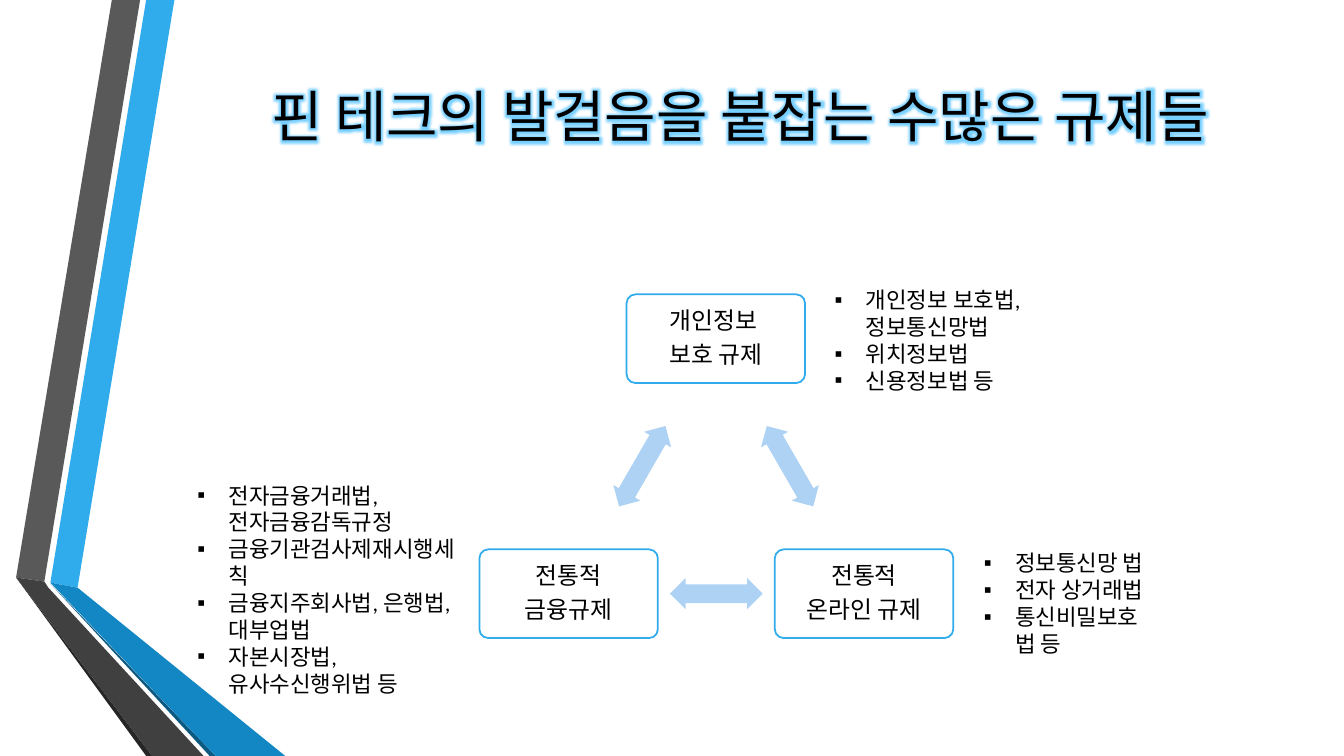
from dataclasses import dataclass

from lxml import etree
from pptx import Presentation
from pptx.dml.color import RGBColor
from pptx.enum.shapes import MSO_SHAPE
from pptx.enum.text import MSO_ANCHOR, MSO_AUTO_SIZE, PP_ALIGN
from pptx.oxml.ns import qn
from pptx.util import Inches, Pt

ROUNDED = MSO_SHAPE.ROUNDED_RECTANGLE
DOUBLE_ARROW = MSO_SHAPE.LEFT_RIGHT_ARROW
MIDDLE = MSO_ANCHOR.MIDDLE
GROW = MSO_AUTO_SIZE.SHAPE_TO_FIT_TEXT
NO_FIT = MSO_AUTO_SIZE.NONE
CENTER = PP_ALIGN.CENTER


@dataclass(frozen=True)
class Theme:
    font: str = "Calibri"
    text: str = "000000"
    box_fill: str = "FFFFFF"
    accent: str = "30ACEC"
    arrow: str = "AED2F4"
    glow: str = "1DB0FF"
    title_size: int = 40
    box_size: int = 17
    list_size: int = 16


@dataclass(frozen=True)
class Facet:
    color: str
    points: tuple[tuple[float, float], ...]


@dataclass(frozen=True)
class Regulation:
    center_x: float
    center_y: float
    lines: tuple[str, ...]


@dataclass(frozen=True)
class LawList:
    left: float
    top: float
    width: float
    height: float
    laws: tuple[str, ...]


THEME = Theme()
BOX_WIDTH, BOX_HEIGHT = 1.77, 0.88
ARROW_WIDTH, ARROW_HEIGHT = 0.92, 0.31
BULLET_INDENT = Inches(0.31)

FACETS = (
    Facet(THEME.accent, ((0.5, 5.78), (0.77, 5.83), (1.73, 0), (1.45, 0))),
    Facet("595959", ((1.39, 0), (1.11, 0), (0.16, 5.73), (0.44, 5.77))),
    Facet("262626", ((0.16, 5.73), (1.45, 7.5), (1.51, 7.5))),
    Facet("0C5A82", ((0.5, 5.79), (2.08, 7.5), (2.14, 7.5))),
    Facet("1287C3", ((0.5, 5.78), (2.14, 7.5), (2.83, 7.5), (0.77, 5.83))),
    Facet("404040", ((2.02, 7.5), (0.48, 5.83), (0.44, 5.77), (0.16, 5.73), (1.51, 7.5))),
)

# Clockwise from the top of the triangle
REGULATIONS = (
    Regulation(7.1, 3.36, ("개인정보 ", "보호 규제")),
    Regulation(8.57, 5.89, ("전통적", "온라인 규제")),
    Regulation(5.64, 5.89, ("전통적", "금융규제")),
)

LAW_LISTS = (
    LawList(8.18, 2.79, 3.14, 1.18,
            ("개인정보 보호법, 정보통신망법", "위치정보법", "신용정보법 등")),
    LawList(9.66, 5.4, 1.98, 1.48,
            ("정보통신망 법", "전자 상거래법", "통신비밀보호 법 등")),
    LawList(1.86, 4.73, 2.82, 2.26,
            ("전자금융거래법, 전자금융감독규정", "금융기관검사제재시행세칙",
             "금융지주회사법, 은행법, 대부업법", "자본시장법, 유사수신행위법 등")),
)


def fill_shape(shape, color: str) -> None:
    shape.shadow.inherit = False
    shape.fill.solid()
    shape.fill.fore_color.rgb = RGBColor.from_string(color)
    shape.line.fill.background()


def format_runs(para, size: int) -> None:
    for span in para.runs:
        span.font.size = Pt(size)
        span.font.name = THEME.font
        span.font.color.rgb = RGBColor.from_string(THEME.text)


def add_glow(span) -> None:
    effects = etree.Element(qn("a:effectLst"))
    glow = etree.SubElement(effects, qn("a:glow"), rad=str(Pt(8)))
    color = etree.SubElement(glow, qn("a:srgbClr"), val=THEME.glow)
    etree.SubElement(color, qn("a:alpha"), val="60000")
    span.font._element.find(qn("a:solidFill")).addnext(effects)


def add_bullet(para) -> None:
    properties = para._p.get_or_add_pPr()
    properties.set("marL", str(BULLET_INDENT))
    properties.set("indent", str(-BULLET_INDENT))
    etree.SubElement(properties, qn("a:buFont"), typeface="Arial")
    etree.SubElement(properties, qn("a:buChar"), char="▪")


def draw_facet(page, facet: Facet) -> None:
    start, *rest = [(Inches(x), Inches(y)) for x, y in facet.points]
    builder = page.shapes.build_freeform(*start, scale=1.0)
    builder.add_line_segments(rest, close=True)
    fill_shape(builder.convert_to_shape(), facet.color)


def draw_title(page, text: str) -> None:
    title = page.shapes.title
    title.left, title.top = Inches(1.86), Inches(0.18)
    title.width, title.height = Inches(10.96), Inches(1.92)
    frame = title.text_frame
    frame.text = text
    frame.vertical_anchor = MIDDLE
    frame.auto_size = NO_FIT
    para = frame.paragraphs[0]
    para.alignment = CENTER
    format_runs(para, THEME.title_size)
    add_glow(para.runs[0])


def draw_regulation(page, regulation: Regulation) -> None:
    box = page.shapes.add_shape(
        ROUNDED,
        Inches(regulation.center_x - BOX_WIDTH / 2),
        Inches(regulation.center_y - BOX_HEIGHT / 2),
        Inches(BOX_WIDTH), Inches(BOX_HEIGHT))
    box.adjustments[0] = 0.1
    fill_shape(box, THEME.box_fill)
    box.line.color.rgb = RGBColor.from_string(THEME.accent)
    box.line.width = Pt(1.25)
    frame = box.text_frame
    frame.margin_left = frame.margin_right = Inches(0.09)
    frame.margin_top = frame.margin_bottom = Inches(0.09)
    frame.word_wrap = True
    frame.vertical_anchor = MIDDLE
    frame.text = "\n".join(regulation.lines)
    for para in frame.paragraphs:
        para.alignment = CENTER
        para.line_spacing = 0.9
        para.space_after = Pt(6)
        format_runs(para, THEME.box_size)


def draw_arrow(page, first: Regulation, second: Regulation, rotation: int) -> None:
    middle_x = (first.center_x + second.center_x) / 2
    middle_y = (first.center_y + second.center_y) / 2
    arrow = page.shapes.add_shape(
        DOUBLE_ARROW,
        Inches(middle_x - ARROW_WIDTH / 2), Inches(middle_y - ARROW_HEIGHT / 2),
        Inches(ARROW_WIDTH), Inches(ARROW_HEIGHT))
    arrow.adjustments[0] = 0.6
    arrow.adjustments[1] = 0.5
    arrow.rotation = rotation
    fill_shape(arrow, THEME.arrow)


def draw_law_list(page, law_list: LawList) -> None:
    box = page.shapes.add_textbox(
        Inches(law_list.left), Inches(law_list.top),
        Inches(law_list.width), Inches(law_list.height))
    frame = box.text_frame
    frame.word_wrap = True
    frame.auto_size = GROW
    frame.text = "\n".join(law_list.laws)
    for para in frame.paragraphs:
        add_bullet(para)
        format_runs(para, THEME.list_size)


def main() -> None:
    deck = Presentation()
    deck.slide_width, deck.slide_height = Inches(13.33), Inches(7.5)
    page = deck.slides.add_slide(deck.slide_layouts.get_by_name("Title Only"))

    # Folded ribbons on the left
    for facet in FACETS:
        draw_facet(page, facet)

    draw_title(page, "핀 테크의 발걸음을 붙잡는 수많은 규제들")

    # Triangle of regulations, with an arrow on each side
    for index, regulation in enumerate(REGULATIONS):
        following = REGULATIONS[(index + 1) % len(REGULATIONS)]
        draw_regulation(page, regulation)
        draw_arrow(page, regulation, following, 60 + 120 * index)

    # Laws beside each regulation
    for law_list in LAW_LISTS:
        draw_law_list(page, law_list)

    deck.save("out.pptx")


if __name__ == "__main__":
    main()
